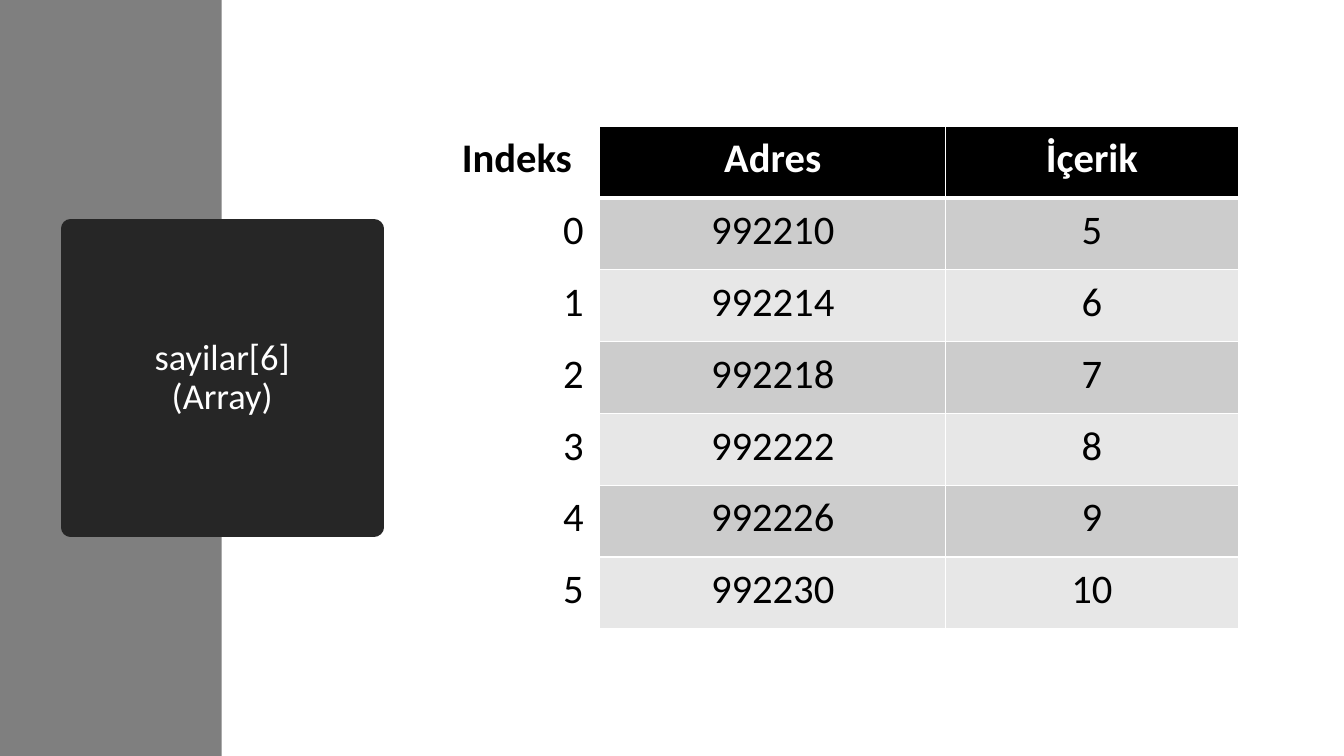
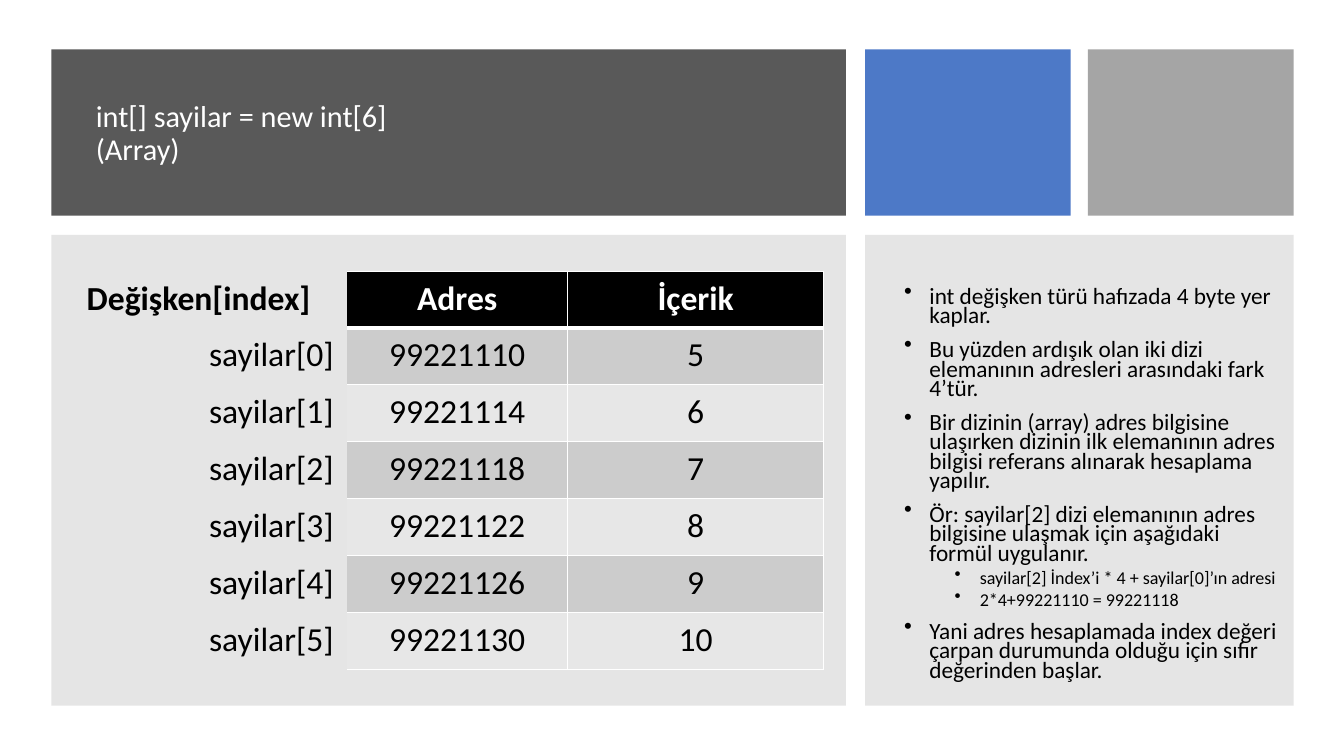
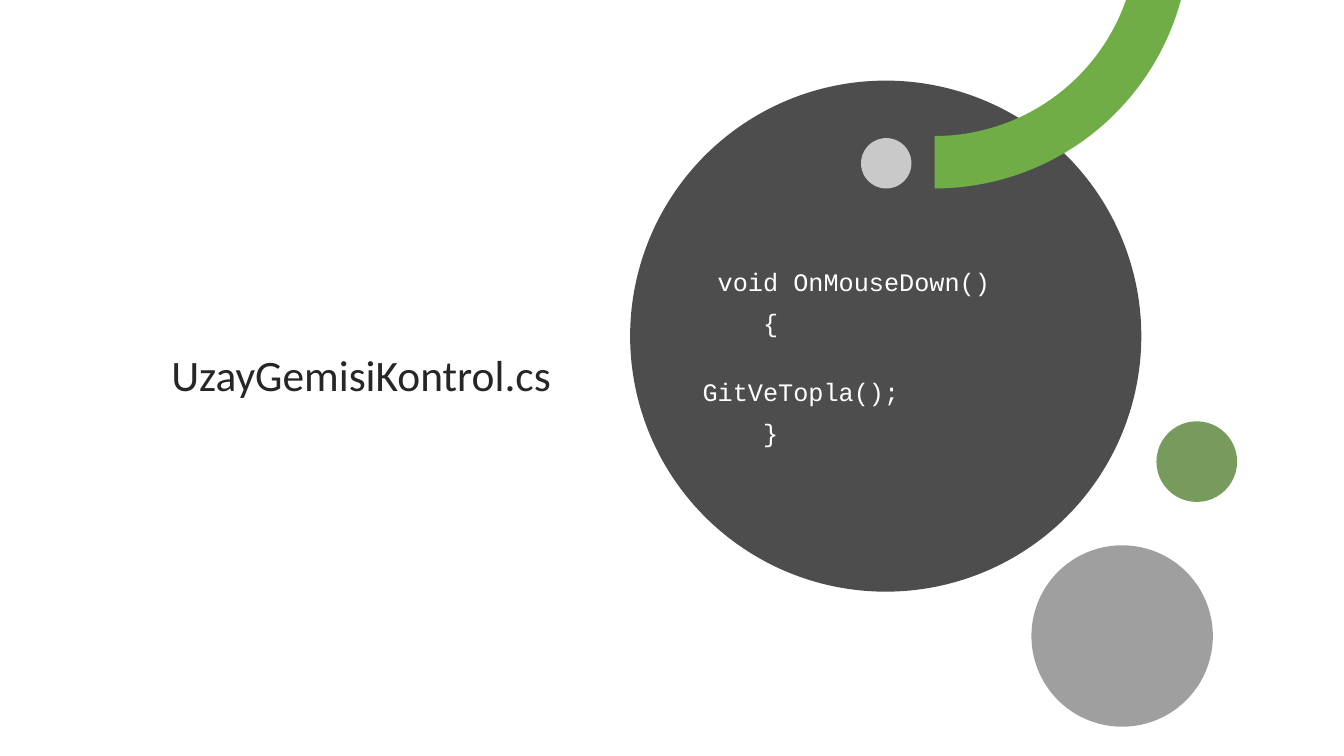
from copy import deepcopy
from dataclasses import dataclass
from math import asin, cos, pi, sin

from lxml import etree
from pptx import Presentation
from pptx.dml.color import RGBColor
from pptx.enum import shapes, text
from pptx.oxml.ns import qn
from pptx.util import Inches, Pt


@dataclass(frozen=True)
class Theme:
    font: str = "Calibri"
    code_font: str = "Courier New"
    white: str = "FFFFFF"
    black: str = "000000"
    ink: str = "262626"
    gray: str = "7F7F7F"
    header: str = "595959"
    silver: str = "A5A5A5"
    blue: str = "4472C4"
    disc: str = "4D4D4D"
    charcoal: str = "404040"
    green: str = "70AD47"
    dark_green: str = "548235"
    bands: tuple = ("CCCCCC", "E7E7E7")
    card_title: float = 26
    header_title: float = 21.6
    file_title: float = 31
    note: float = 16.6
    sub_note: float = 12.9
    code: float = 18
    wide_table: float = 29
    narrow_table: float = 24


theme = Theme()
LEFT, CENTER, RIGHT = text.PP_ALIGN.LEFT, text.PP_ALIGN.CENTER, text.PP_ALIGN.RIGHT
RECT, OVAL = shapes.MSO_SHAPE.RECTANGLE, shapes.MSO_SHAPE.OVAL


def write(frame, content, size, color, font=theme.font, bold=False, align=LEFT,
          spacing=None, before=0, level=None, anchored=True):
    if anchored:
        frame.word_wrap = True
        frame.auto_size = text.MSO_AUTO_SIZE.NONE
        frame.vertical_anchor = text.MSO_ANCHOR.MIDDLE
    first = not frame.text
    paragraph = frame.paragraphs[0] if first else frame.add_paragraph()
    paragraph.text = content
    if level is not None:
        paragraph.level = level
        properties = paragraph._p.get_or_add_pPr()
        properties.set("marL", str(Inches(0.25 + 0.5 * level)))
        properties.set("indent", str(Inches(-0.25)))
        etree.SubElement(properties, qn("a:buChar")).set("char", "•")
    paragraph.alignment = align
    paragraph.line_spacing = spacing
    paragraph.space_before = Pt(0 if first else before)
    for run in paragraph.runs:
        run.font.name = font
        run.font.size = Pt(size)
        run.font.bold = bold
        run.font.color.rgb = RGBColor.from_string(color)
    for line_break in paragraph._p.findall(qn("a:br")):
        line_break.append(deepcopy(paragraph.runs[0]._r.rPr))


def paint(shape, color, opacity=100):
    shape.shadow.inherit = False
    shape.fill.solid()
    shape.fill.fore_color.rgb = RGBColor.from_string(color)
    shape.line.fill.background()
    if opacity < 100:
        tint = shape._element.spPr.find(qn("a:solidFill")).find(qn("a:srgbClr"))
        etree.SubElement(tint, qn("a:alpha")).set("val", str(opacity * 1000))


deck = Presentation()
deck.slide_width, deck.slide_height = Inches(13.33), Inches(7.5)
array_slide, address_slide, code_slide = [
    deck.slides.add_slide(deck.slide_layouts[5]) for _ in range(3)]

for slide, kind, box, color, opacity in (
    (array_slide, RECT, (0, 0, 2.2, 7.5), theme.gray, 100),
    (address_slide, RECT, (0.51, 0.49, 7.88, 1.65), theme.header, 100),
    (address_slide, RECT, (8.58, 0.49, 2.04, 1.65), theme.blue, 95),
    (address_slide, RECT, (10.79, 0.49, 2.04, 1.65), theme.silver, 100),
    (address_slide, RECT, (0.51, 2.33, 7.88, 4.67), theme.gray, 20),
    (address_slide, RECT, (8.58, 2.33, 4.25, 4.67), theme.gray, 20),
    (code_slide, OVAL, (6.25, 0.8, 5.07, 5.07), theme.disc, 100),
    (code_slide, OVAL, (8.54, 1.37, 0.5, 0.5), theme.white, 70),
    (code_slide, OVAL, (11.47, 4.18, 0.8, 0.8), theme.dark_green, 80),
    (code_slide, OVAL, (10.23, 5.41, 1.8, 1.8), theme.charcoal, 50),
):
    paint(slide.shapes.add_shape(kind, *map(Inches, box)), color, opacity)

arc_x, arc_y, steps = 9.27, -0.66, 40
arc_points = []
for radius, order in ((2.53, range(steps + 1)), (2.01, range(steps, -1, -1))):
    start = asin(-arc_y / radius)
    for step in order:
        angle = start + (pi / 2 - start) * step / steps
        arc_points.append((Inches(arc_x + radius * cos(angle)),
                           Inches(arc_y + radius * sin(angle))))
arc = code_slide.shapes.build_freeform(*arc_points[0])
arc.add_line_segments(arc_points[1:], close=True)
paint(arc.convert_to_shape(), theme.green)

for slide, title, box, size, color, align in (
    (array_slide, "sayilar[6]\n(Array)", (0.7, 2.27, 3.01, 2.96),
     theme.card_title, theme.white, CENTER),
    (address_slide, "int[] sayilar = new int[6]\n(Array)", (0.85, 0.76, 7.23, 1.14),
     theme.header_title, theme.white, LEFT),
    (code_slide, "UzayGemisiKontrol.cs", (1.6, 1.19, 4.16, 5.11),
     theme.file_title, theme.ink, LEFT),
):
    heading = slide.shapes.title
    slide.shapes._spTree.append(heading._element)
    heading.left, heading.top, heading.width, heading.height = map(Inches, box)
    write(heading.text_frame, title, size, color, align=align, spacing=0.9)

card = array_slide.shapes.title
paint(card, theme.ink)
card.line.color.rgb = RGBColor.from_string(theme.ink)
card.line.width = Pt(13.75)

notes = address_slide.shapes.add_textbox(*map(Inches, (8.87, 2.62, 3.96, 4.39))).text_frame
for level, note in (
    (0, "int değişken türü hafızada 4 byte yer kaplar."),
    (0, "Bu yüzden ardışık olan iki dizi elemanının adresleri arasındaki fark 4’tür."),
    (0, "Bir dizinin (array) adres bilgisine ulaşırken dizinin ilk elemanının adres "
        "bilgisi referans alınarak hesaplama yapılır."),
    (0, "Ör: sayilar[2] dizi elemanının adres bilgisine ulaşmak için aşağıdaki "
        "formül uygulanır."),
    (1, "sayilar[2] İndex’i * 4 + sayilar[0]’ın adresi"),
    (1, "2*4+99221110 = 99221118"),
    (0, "Yani adres hesaplamada index değeri çarpan durumunda olduğu için sıfır "
        "değerinden başlar."),
):
    write(notes, note, (theme.note, theme.sub_note)[level], theme.black,
          spacing=0.7, before=(10, 5)[level], level=level)

code = code_slide.shapes.add_textbox(*map(Inches, (6.87, 1.93, 3.92, 3.26))).text_frame
for line in (" void OnMouseDown()", "    {", "            GitVeTopla();", "    }"):
    write(code, line, theme.code, theme.white, font=theme.code_font, spacing=0.9, before=10)

for slide, box, widths, size, (side, edge), index_title, index_label, base in (
    (array_slide, (4.42, 1.25, 7.86, 4.99), (1.53, 3.43, 2.9), theme.wide_table,
     (0.16, 0.08), "Indeks", "{}", 992210),
    (address_slide, (0.73, 2.69, 7.44, 3.95), (2.71, 2.19, 2.54), theme.narrow_table,
     (0.13, 0.07), "Değişken[index]", "sayilar[{}]", 99221110),
):
    rows = [(index_title, "Adres", "İçerik")]
    rows += [(index_label.format(i), str(base + 4 * i), str(5 + i)) for i in range(6)]
    table = slide.shapes.add_table(len(rows), len(widths), *map(Inches, box)).table
    table.first_row = table.horz_banding = False
    table._tbl.tblPr.find(qn("a:tableStyleId")).text = "{2D5ABB26-0587-4C30-8999-92F81FD0307C}"
    for column, width in zip(table.columns, widths):
        column.width = Inches(width)
    for r, row in enumerate(rows):
        for c, value in enumerate(row):
            cell = table.cell(r, c)
            cell.margin_left = cell.margin_right = Inches(side)
            cell.margin_top = cell.margin_bottom = Inches(edge)
            is_header, is_index = r == 0, c == 0
            write(cell.text_frame, value, size,
                  theme.white if is_header and not is_index else theme.black,
                  bold=is_header, anchored=False,
                  align=CENTER if not is_index else LEFT if is_header else RIGHT)
            if is_index:
                cell.fill.background()
                continue
            borders = {"lnL": 1, "lnR": 1, "lnT": 3 if r == 1 else 1, "lnB": 3 if is_header else 1}
            if c == 1:
                del borders["lnL"]
            for border, weight in borders.items():
                stroke = etree.SubElement(cell._tc.get_or_add_tcPr(), qn("a:" + border))
                stroke.set("w", str(Pt(weight)))
                stroke_fill = etree.SubElement(stroke, qn("a:solidFill"))
                etree.SubElement(stroke_fill, qn("a:srgbClr")).set("val", theme.white)
            cell.fill.solid()
            cell.fill.fore_color.rgb = RGBColor.from_string(
                theme.black if is_header else theme.bands[(r - 1) % 2])

deck.save("out.pptx")
